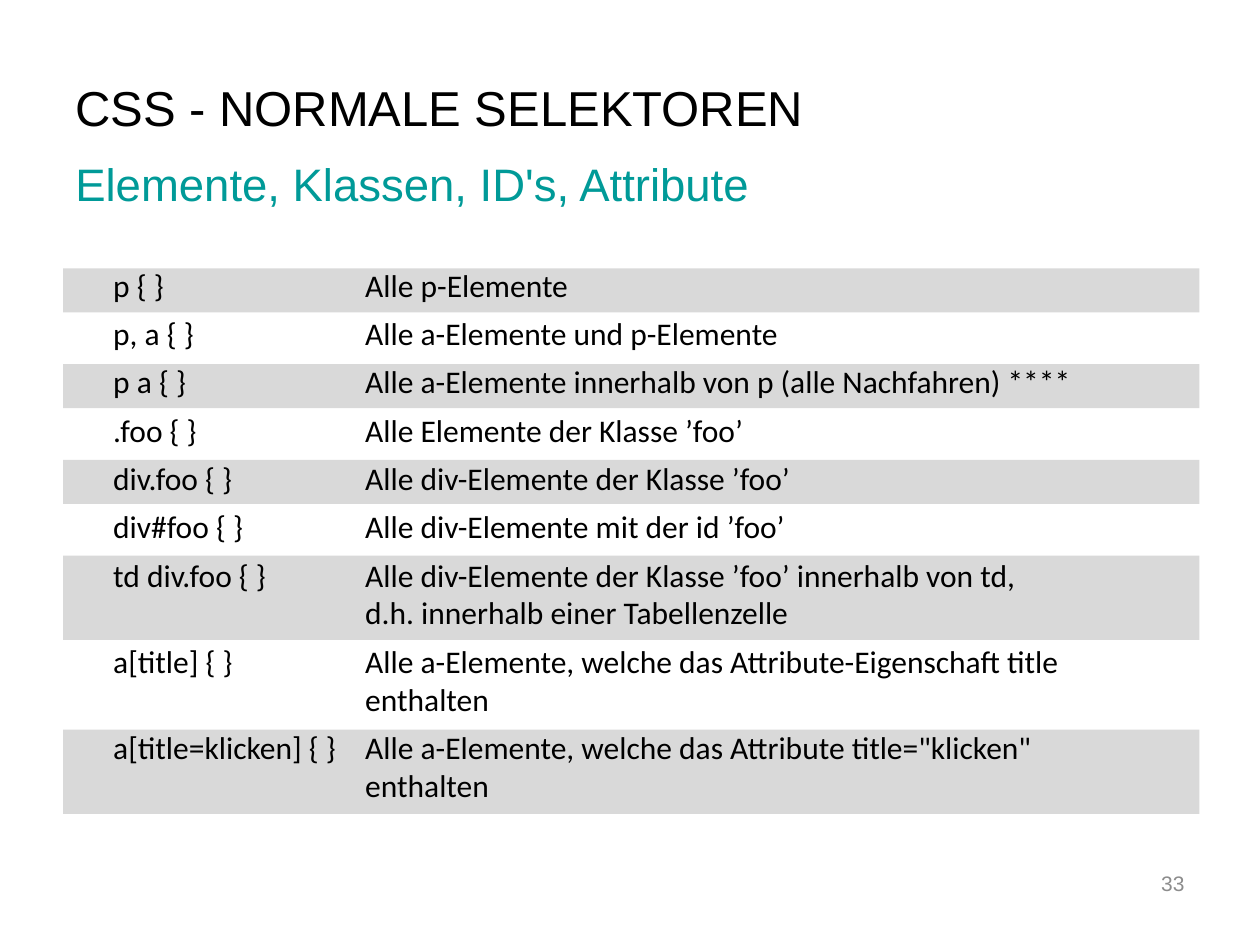
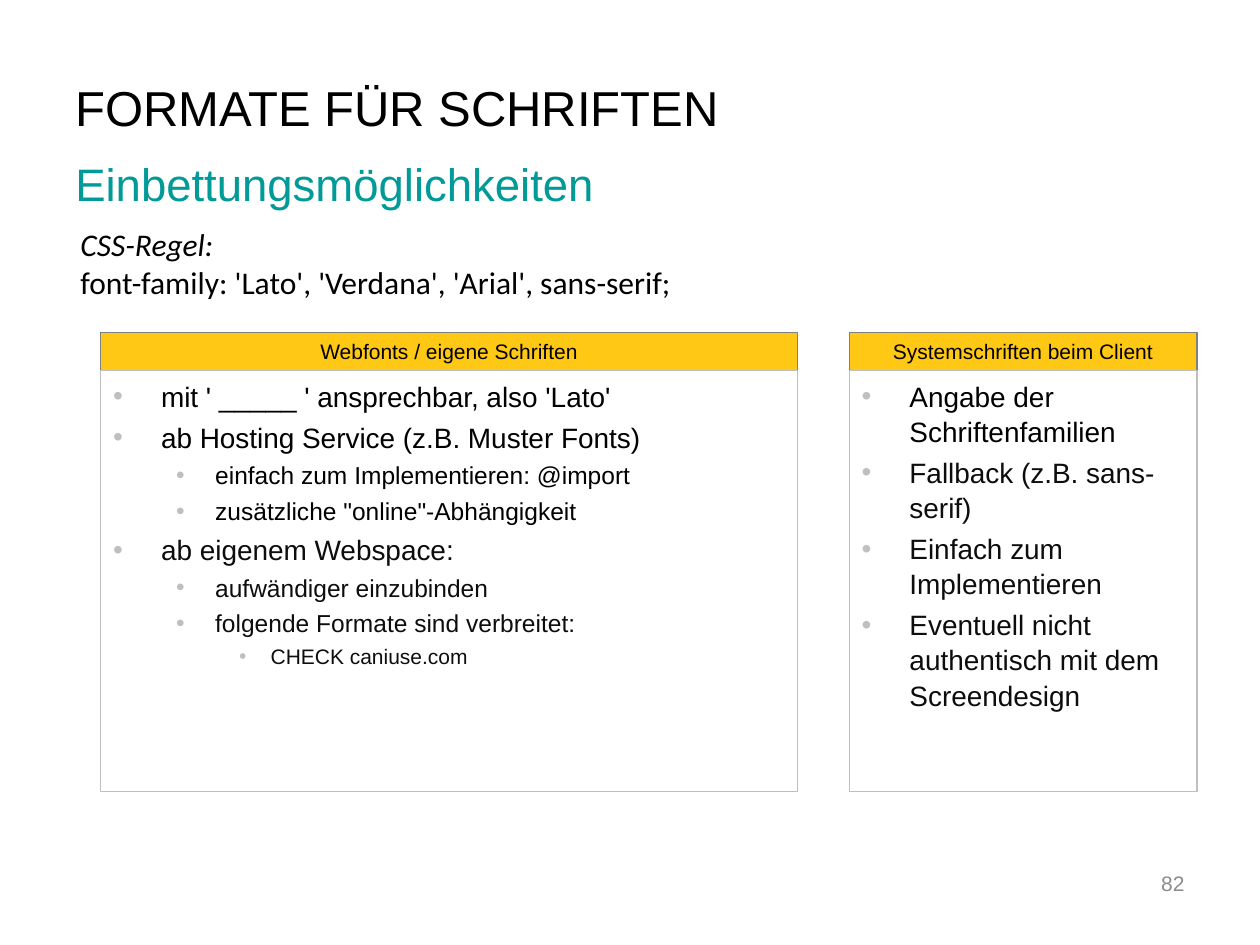
from dataclasses import dataclass

from lxml import etree
from pptx import Presentation, util as u
from pptx.dml.color import RGBColor
from pptx.enum import shapes, text
from pptx.oxml import ns

UNIT = u.Inches(0.1)  # grid: 100 columns by 75 rows
LEFT, MIDDLE = text.PP_ALIGN.LEFT, text.MSO_ANCHOR.MIDDLE


@dataclass(frozen=True)
class Theme:
    sans: str = "Arial"
    body: str = "Calibri"
    ink: str = "000000"
    soft_ink: str = "0D0D0D"
    teal: str = "009A98"
    yellow: str = "FFC814"
    white: str = "FFFFFF"
    band: str = "D9D9D9"
    header_line: str = "808080"
    pale_line: str = "BFBFBF"
    footer: str = "8C8C8C"
    title_size: int = 28
    subtitle_size: int = 26
    body_size: int = 18
    small_size: int = 12
    level_sizes: tuple = (16, 14, 12)


@dataclass(frozen=True)
class Box:
    """Left, top, width and height in grid units."""
    left: float
    top: float
    width: float
    height: float

    def emu(self):
        return [round(n * UNIT) for n in (self.left, self.top, self.width, self.height)]


THEME = Theme()
TITLE = Box(5, 5.6, 81.6, 5.7)
SUBTITLE = Box(5, 11.5, 95, 5.4)
PAGE_NUMBER = Box(88.3, 68.1, 6.7, 4)
LEVEL_INDENTS = ((3.8, 3.8), (8.1, 3.1), (12.5, 2.5))  # text margin, hanging part

SELECTORS = [
    ("p { }", "Alle p-Elemente"),
    ("p, a { }", "Alle a-Elemente und p-Elemente"),
    ("p a { }", "Alle a-Elemente innerhalb von p (alle Nachfahren) ****"),
    (".foo { }", "Alle Elemente der Klasse ’foo’"),
    ("div.foo { }", "Alle div-Elemente der Klasse ’foo’"),
    ("div#foo { }", "Alle div-Elemente mit der id ’foo’"),
    ("td div.foo { }", "Alle div-Elemente der Klasse ’foo’ innerhalb von td,\v"
                       "d.h. innerhalb einer Tabellenzelle"),
    ("a[title] { }", "Alle a-Elemente, welche das Attribute-Eigenschaft title\venthalten"),
    ("a[title=klicken] { }", "Alle a-Elemente, welche das Attribute title=\"klicken\"\venthalten"),
]

# level, wording, colour
WEBFONTS = [
    (0, "mit ' _____ ' ansprechbar, also 'Lato'", THEME.ink),
    (0, "ab Hosting Service (z.B. Muster Fonts)", THEME.ink),
    (1, "einfach zum Implementieren: @import", THEME.ink),
    (1, "zusätzliche \"online\"-Abhängigkeit", THEME.ink),
    (0, "ab eigenem Webspace:", THEME.soft_ink),
    (1, "aufwändiger einzubinden", THEME.soft_ink),
    (1, "folgende Formate sind verbreitet:", THEME.soft_ink),
    (2, "CHECK caniuse.com", THEME.soft_ink),
]
SYSTEM_FONTS = [
    (0, "Angabe der Schriftenfamilien", THEME.ink),
    (0, "Fallback (z.B. sans-serif)", THEME.soft_ink),
    (0, "Einfach zum Implementieren", THEME.soft_ink),
    (0, "Eventuell nicht authentisch mit dem Screendesign", THEME.soft_ink),
]


def style(paragraph, size, colour, name=THEME.sans, align=LEFT, italic=False):
    paragraph.alignment = align
    font = paragraph.font
    font.name, font.size, font.italic = name, u.Pt(size), italic
    font.color.rgb = RGBColor.from_string(colour)


def paragraphs_for(frame, count):
    """Yield the frame's first paragraph, then new ones, count in all."""
    yield frame.paragraphs[0]
    for _ in range(count - 1):
        yield frame.add_paragraph()


def add_text_frame(slide, box, anchor=text.MSO_ANCHOR.TOP):
    frame = slide.shapes.add_textbox(*box.emu()).text_frame
    frame.word_wrap = True
    frame.vertical_anchor = anchor
    return frame


def add_rectangle(slide, box, fill, line=None):
    shape = slide.shapes.add_shape(shapes.MSO_SHAPE.RECTANGLE, *box.emu())
    shape.shadow.inherit = False
    shape.fill.solid()
    shape.fill.fore_color.rgb = RGBColor.from_string(fill)
    if line:
        shape.line.color.rgb = RGBColor.from_string(line)
        shape.line.width = u.Pt(0.75)
    else:
        shape.line.fill.background()
    return shape


def hang(paragraph, margin, hanging):
    properties = paragraph._p.get_or_add_pPr()
    properties.set("marL", str(round(margin * UNIT)))
    properties.set("indent", str(-round(hanging * UNIT)))
    return properties


def add_bullet(paragraph, level):
    paragraph.level = level
    properties = hang(paragraph, *LEVEL_INDENTS[level])
    colour = etree.SubElement(properties, ns.qn("a:buClr"))
    etree.SubElement(colour, ns.qn("a:srgbClr"), val=THEME.pale_line)
    etree.SubElement(properties, ns.qn("a:buFont"), typeface=THEME.sans)
    etree.SubElement(properties, ns.qn("a:buChar"), char="•")


def add_tab_column(paragraph, position):
    """Put the text after a tab, and all later lines, in one column."""
    properties = hang(paragraph, position, position)
    tabs = etree.SubElement(properties, ns.qn("a:tabLst"))
    etree.SubElement(tabs, ns.qn("a:tab"), pos=str(round(position * UNIT)), algn="l")


def add_base_slide(presentation, title, subtitle, number):
    """Add a blank slide with the shared heading and page number."""
    slide = presentation.slides.add_slide(presentation.slide_layouts[6])
    for box, wording, size, colour, anchor, align in (
        (SUBTITLE, subtitle, THEME.subtitle_size, THEME.teal, text.MSO_ANCHOR.TOP, LEFT),
        (TITLE, title, THEME.title_size, THEME.ink, MIDDLE, LEFT),
        (PAGE_NUMBER, number, THEME.small_size, THEME.footer, MIDDLE, text.PP_ALIGN.RIGHT),
    ):
        frame = add_text_frame(slide, box, anchor)
        if box is SUBTITLE:
            frame.margin_top = u.Inches(0.09)
        frame.text = wording
        style(frame.paragraphs[0], size, colour, align=align)
    return slide


def add_bands(slide, box, entries):
    """Shade every other entry; an entry's height follows its line count."""
    top = box.top
    for index, (_, meaning) in enumerate(entries):
        lines = meaning.count("\v") + 1
        if index % 2 == 0:
            add_rectangle(slide, Box(box.left, top, box.width, 0.3 + 3.2 * lines), THEME.band)
        top += 0.7 + 3.1 * lines


def add_selector_list(slide, box, entries):
    add_bands(slide, box, entries)
    inner = Box(box.left + 3, box.top - 0.7, box.width - 2, box.height)
    frame = add_text_frame(slide, inner)
    for paragraph, entry in zip(paragraphs_for(frame, len(entries)), entries):
        paragraph.text = "\t".join(entry)
        paragraph.space_after = u.Pt(6)
        add_tab_column(paragraph, 20)
        style(paragraph, THEME.body_size, THEME.ink, THEME.body)


def add_rule(slide, box, label, rule):
    frame = add_text_frame(slide, box)
    for paragraph, wording in zip(paragraphs_for(frame, 2), (label, rule)):
        paragraph.text = wording
        style(paragraph, THEME.body_size, THEME.ink, THEME.body, italic=wording == label)


def add_panel(slide, box, heading, items, header_rows=3):
    header = add_rectangle(slide, Box(box.left, box.top, box.width, header_rows),
                           THEME.yellow, THEME.header_line)
    header.text_frame.text = heading
    style(header.text_frame.paragraphs[0], THEME.small_size, THEME.ink,
          align=text.PP_ALIGN.CENTER)

    content = Box(box.left, box.top + header_rows, box.width, box.height - header_rows)
    frame = add_rectangle(slide, content, THEME.white, THEME.pale_line).text_frame
    frame.vertical_anchor = text.MSO_ANCHOR.TOP
    frame.margin_top = u.Inches(0.06)
    for index, (paragraph, item) in enumerate(zip(paragraphs_for(frame, len(items)), items)):
        level, wording, colour = item
        size = THEME.level_sizes[level]
        paragraph.text = wording
        paragraph.line_spacing = 1.05
        if index:
            paragraph.space_before = u.Pt(0.2 * size)
        add_bullet(paragraph, level)
        style(paragraph, size, colour)


def add_selector_slide(presentation):
    slide = add_base_slide(presentation, "CSS - NORMALE SELEKTOREN",
                           "Elemente, Klassen, ID's, Attribute", "33")
    add_selector_list(slide, Box(5, 21.3, 90.2, 54), SELECTORS)


def add_font_slide(presentation):
    slide = add_base_slide(presentation, "FORMATE FÜR SCHRIFTEN",
                           "Einbettungsmöglichkeiten", "82")
    add_rule(slide, Box(5.4, 17.4, 65, 7.1), "CSS-Regel:",
             "font-family: 'Lato', 'Verdana', 'Arial', sans-serif;")
    add_panel(slide, Box(8, 26.4, 55.3, 36.4), "Webfonts / eigene Schriften", WEBFONTS)
    add_panel(slide, Box(67.4, 26.4, 27.6, 36.4), "Systemschriften beim Client", SYSTEM_FONTS)


def main():
    presentation = Presentation()
    presentation.slide_width, presentation.slide_height = 100 * UNIT, 75 * UNIT
    add_selector_slide(presentation)
    add_font_slide(presentation)
    presentation.save("out.pptx")


if __name__ == "__main__":
    main()
